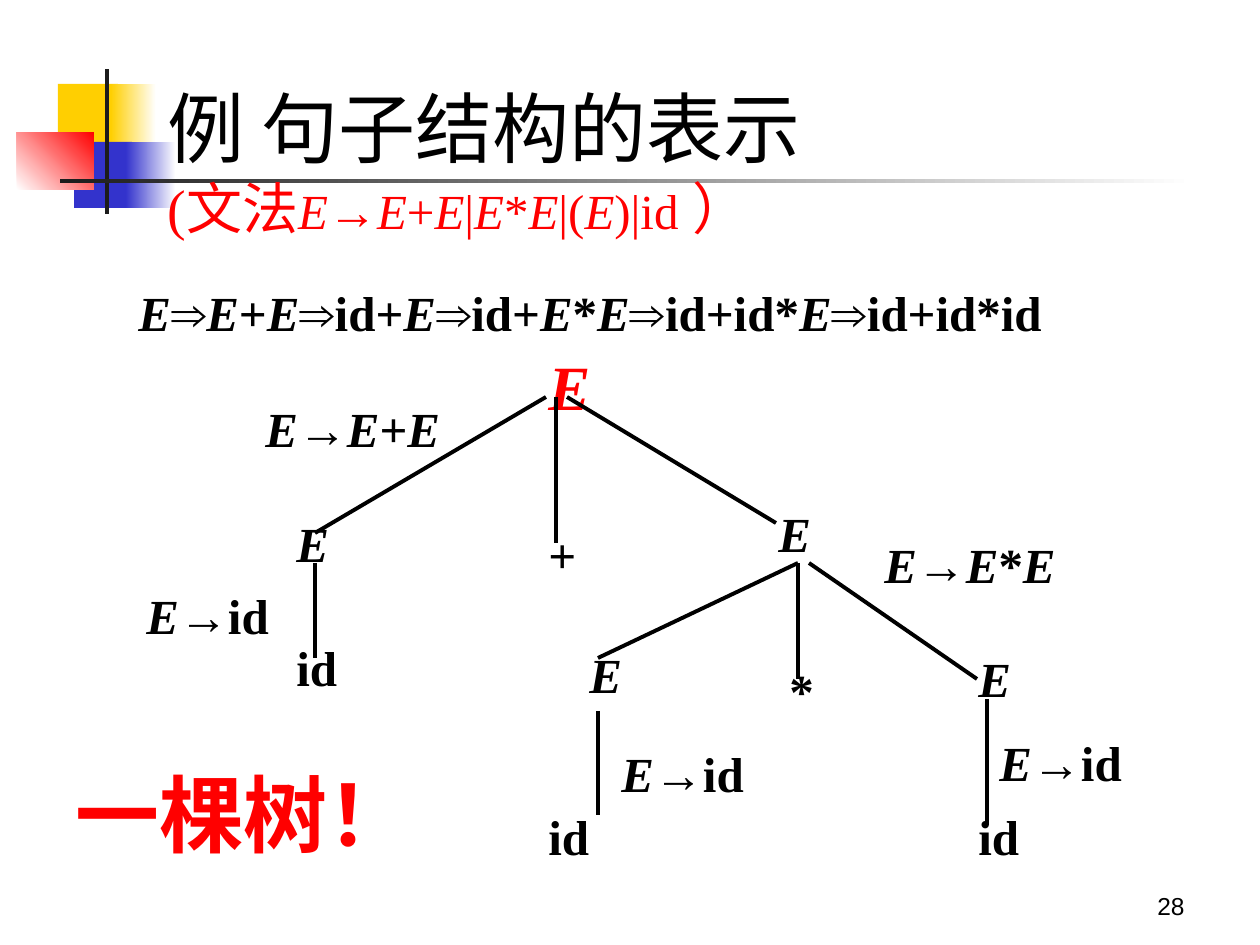
from itertools import groupby

from lxml import etree
from pptx import Presentation
from pptx.dml.color import RGBColor
from pptx.enum.shapes import MSO_CONNECTOR, MSO_SHAPE
from pptx.enum.text import MSO_ANCHOR, MSO_AUTO_SIZE, PP_ALIGN
from pptx.oxml.ns import qn
from pptx.util import Emu, Pt

RECTANGLE = MSO_SHAPE.RECTANGLE
STRAIGHT = MSO_CONNECTOR.STRAIGHT
MIDDLE, BOTTOM = MSO_ANCHOR.MIDDLE, MSO_ANCHOR.BOTTOM
GROW, RIGHT = MSO_AUTO_SIZE.SHAPE_TO_FIT_TEXT, PP_ALIGN.RIGHT

PX = 914400 / 126
SERIF, SANS = "Times New Roman", "Arial"
BLACK, RED, WHITE = "000000", "FF0000", "FFFFFF"
YELLOW, BLUE, CHARCOAL = "FFCF01", "3333CC", "1C1C1C"

# Left, top, width, height, colours (two make a gradient), gradient angle
DECORATION = [
    (58, 84, 60, 66, [YELLOW], 0),
    (111, 84, 45, 66, [YELLOW, WHITE], 0),
    (74, 142, 58, 66, [BLUE], 0),
    (126, 142, 50, 66, [BLUE, WHITE], 0),
    (17, 132, 77, 58, [WHITE, RED], 45),
    (105, 69, 4, 145, [CHARCOAL], 0),
    (60, 179, 1134, 4, [CHARCOAL, WHITE], 0),
]

TITLE_BOX = (155, 87, 872, 147)
TITLE = "例 句子结构的表示"
GRAMMAR = [("(文法", 32), ("E→E+E|E*E|(E)|id", 28), (" ）", 32)]

# Text, left, top
NODES = [
    ("E", 284, 501), ("+", 536, 512), ("E", 766, 491),
    ("id", 284, 626),
    ("E", 577, 633), ("*", 777, 648), ("E", 966, 636),
    ("id", 536, 794), ("id", 966, 794),
]
NODE_WIDTH, LINE_HEIGHT = 158, 77

# Text, left, top, width
FORMULAS = [
    ("E⇒E+E⇒id+E⇒id+E*E⇒id+id*E⇒id+id*id", 126, 270, 1040),
    ("E→E+E", 253, 386, 219),
    ("E→id", 134, 573, 160),
    ("E→E*E", 872, 522, 199),
    ("E→id", 609, 731, 170),
    ("E→id", 987, 721, 158),
]

# Parent x, y, child x, y
BRANCHES = [
    (546, 397, 315, 533), (556, 397, 556, 543), (567, 397, 776, 523),
    (315, 563, 315, 658),
    (798, 563, 598, 658), (798, 563, 798, 679), (809, 563, 977, 679),
    (598, 711, 598, 815), (987, 699, 987, 825),
]


def px(*values):
    return [Emu(round(value * PX)) for value in values]


def rgb(color):
    return RGBColor.from_string(color)


def add_box(slide, box):
    frame = slide.shapes.add_textbox(*px(*box)).text_frame
    frame.word_wrap = True
    return frame


def format_run(run, size, color, bold, font=SERIF):
    run.font.name = font
    run.font.size = Pt(size)
    run.font.bold = bold
    run.font.color.rgb = rgb(color)


def add_symbols(paragraph, text, size, color, bold):
    """Write text with every nonterminal E in italics."""
    for is_nonterminal, letters in groupby(text, lambda letter: letter == "E"):
        run = paragraph.add_run()
        run.text = "".join(letters)
        format_run(run, size, color, bold)
        run.font.italic = is_nonterminal


def add_label(slide, text, box, size=28, color=BLACK, before=50):
    frame = add_box(slide, box)
    frame.auto_size = GROW
    paragraph = frame.paragraphs[0]
    paragraph.line_spacing = 1.1
    # Space before as a percentage of the line
    space = etree.SubElement(paragraph._p.get_or_add_pPr(), qn("a:spcBef"))
    etree.SubElement(space, qn("a:spcPct"), val=str(before * 1000))
    add_symbols(paragraph, text, size, color, True)


def add_block(slide, box, colors, angle):
    block = slide.shapes.add_shape(RECTANGLE, *px(*box))
    block.shadow.inherit = False
    block.line.fill.background()
    if len(colors) == 1:
        block.fill.solid()
        block.fill.fore_color.rgb = rgb(colors[0])
    else:
        block.fill.gradient()
        block.fill.gradient_angle = angle
        for stop, color in zip(block.fill.gradient_stops, colors):
            stop.color.rgb = rgb(color)


def add_branch(slide, ends):
    branch = slide.shapes.add_connector(STRAIGHT, *px(*ends))
    branch.line.color.rgb = rgb(BLACK)
    branch.line.width = Pt(2.25)
    etree.SubElement(branch._element.spPr, qn("a:effectLst"))


def main():
    prs = Presentation()
    prs.slide_width, prs.slide_height = px(1260, 945)
    slide = prs.slides.add_slide(prs.slide_layouts[6])

    # Corner blocks and rules
    for *box, colors, angle in DECORATION:
        add_block(slide, box, colors, angle)

    # Title with the grammar below
    title = add_box(slide, TITLE_BOX)
    title.vertical_anchor = MIDDLE
    heading = title.paragraphs[0]
    heading.text = TITLE
    format_run(heading.runs[0], 44, BLACK, False)
    heading.add_line_break()
    for text, size in GRAMMAR:
        add_symbols(heading, text, size, RED, False)

    # Parse tree
    add_label(slide, "E", (536, 334, NODE_WIDTH, 96), 36, RED)
    for text, left, top in NODES:
        add_label(slide, text, (left, top, NODE_WIDTH, LINE_HEIGHT))
    for ends in BRANCHES:
        add_branch(slide, ends)

    # Derivation and the rules applied
    for text, left, top, width in FORMULAS:
        add_label(slide, text, (left, top, width, LINE_HEIGHT))

    # Conclusion
    add_label(slide, "一棵树！", (63, 746, 378, 123), 48, RED, 20)

    # Page number
    page = add_box(slide, (903, 861, 294, 66))
    page.vertical_anchor = BOTTOM
    page.text = "28"
    page.paragraphs[0].alignment = RIGHT
    format_run(page.paragraphs[0].runs[0], 14, BLACK, False, SANS)

    prs.save("out.pptx")


if __name__ == "__main__":
    main()
